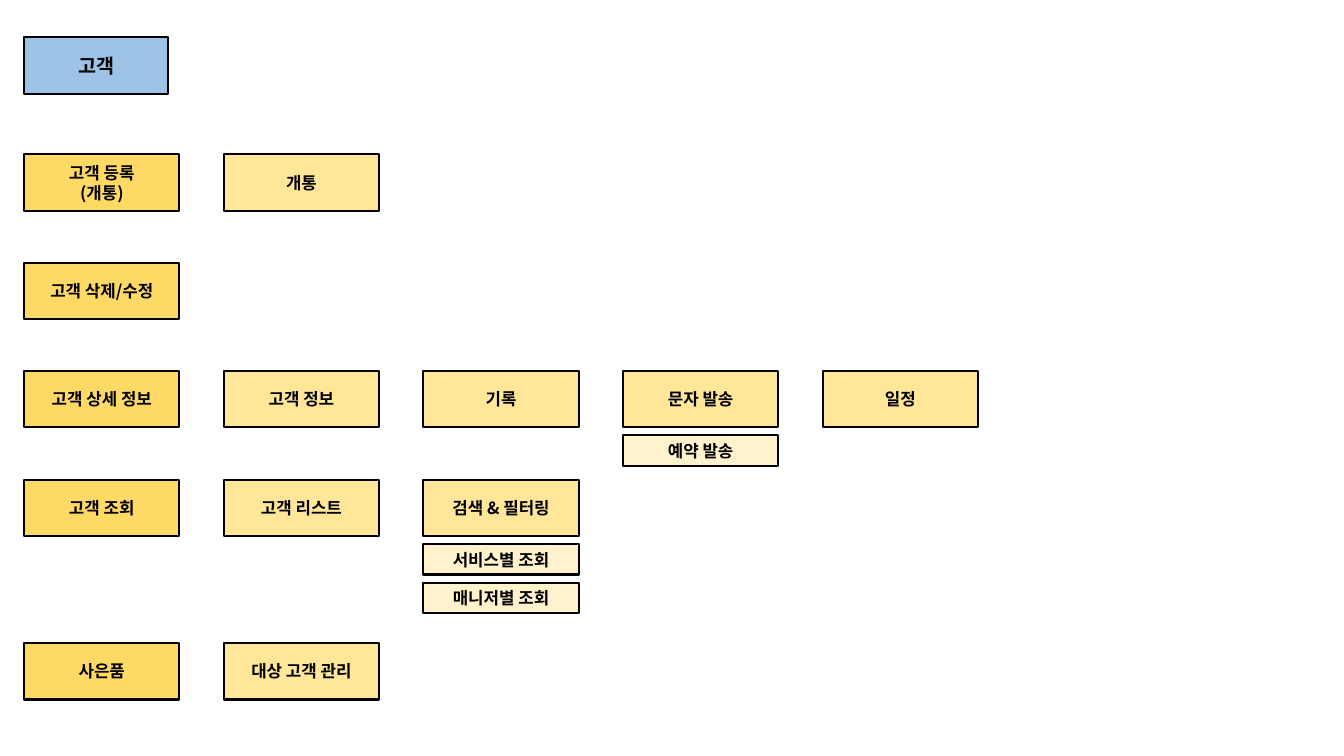
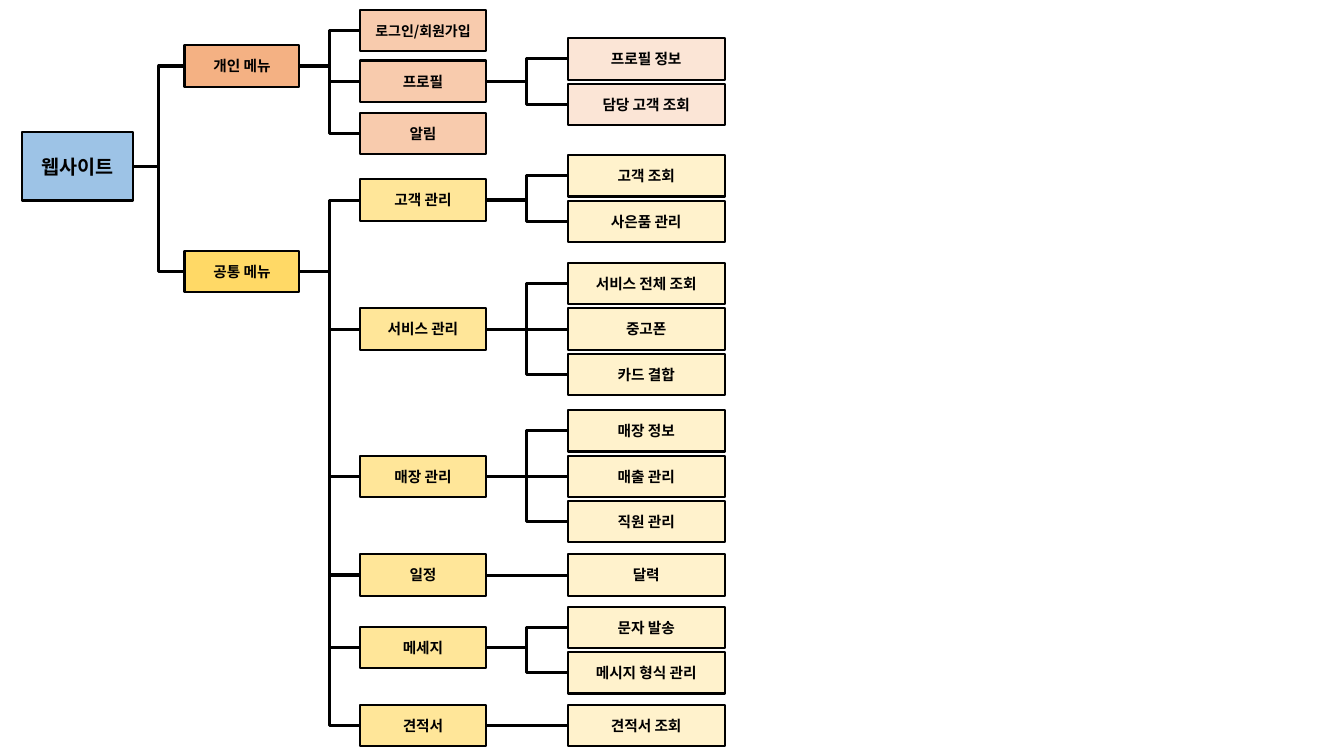
"""Build the customer feature map and the website menu tree."""
from dataclasses import dataclass

from lxml import etree
from pptx import Presentation, util as u
from pptx.dml import color
from pptx.enum import shapes, text
from pptx.oxml import ns

FONT = {"name": "Noto Sans CJK KR", "bold": True}
FRAME = {"word_wrap": True, "vertical_anchor": text.MSO_ANCHOR.MIDDLE}
BLACK, BLUE = "000000", "9DC3E6"
GOLD = ("FFD966", "FFE699", "FFF2CC")
ORANGE = ("F4B183", "F8CBAD", "FBE5D6")
TITLE_SIZE, FEATURE_SIZE, MENU_SIZE = 14, 12, 10.5

FEATURE_LEFT, FEATURE_PITCH = 0.24, 1.98
FEATURE_WIDTH, FEATURE_HEIGHT = 1.54, 0.56
DETAIL_HEIGHT, DETAIL_GAP = 0.3, 0.08

MENU_COLUMNS = ((1.83, 1.14), (3.57, 1.25), (5.63, 1.56))
MENU_HEIGHT, LEAF_PITCH = 0.41, 0.45


@dataclass(frozen=True)
class Box:
    """Place, fill and text size of one labelled rectangle."""
    label: str
    left: float
    top: float
    width: float
    height: float
    fill: str
    size: float


@dataclass(frozen=True)
class Feature:
    """A feature with the details stacked below it."""
    label: str
    details: tuple[str, ...] = ()


@dataclass(frozen=True)
class Menu:
    """A menu entry with its submenus."""
    label: str
    top: float
    children: tuple["Menu", ...] = ()
    size: float = MENU_SIZE


def leaves(first_top: float, *labels: str) -> tuple[Menu, ...]:
    """Stack childless menu entries at an equal pitch."""
    return tuple(Menu(label, round(first_top + index * LEAF_PITCH, 2))
                 for index, label in enumerate(labels))


FEATURE_ROWS = (
    (1.53, (Feature("고객 등록\v(개통)"), Feature("개통"))),
    (2.61, (Feature("고객 삭제/수정"),)),
    (3.68, (Feature("고객 상세 정보"), Feature("고객 정보"), Feature("기록"),
            Feature("문자 발송", ("예약 발송",)), Feature("일정"))),
    (4.76, (Feature("고객 조회"), Feature("고객 리스트"),
            Feature("검색 & 필터링", ("서비스별 조회", "매니저별 조회")))),
    (6.38, (Feature("사은품"), Feature("대상 고객 관리"))),
)

PERSONAL_MENU = Menu("개인 메뉴", 0.45, (
    Menu("로그인/회원가입", 0.1, size=10),
    Menu("프로필", 0.6, leaves(0.38, "프로필 정보", "담당 고객 조회")),
    Menu("알림", 1.12),
))
COMMON_MENU = Menu("공통 메뉴", 2.49, (
    Menu("고객 관리", 1.78, leaves(1.54, "고객 조회", "사은품 관리")),
    Menu("서비스 관리", 3.06, leaves(2.61, "서비스 전체 조회", "중고폰", "카드 결합")),
    Menu("매장 관리", 4.52, leaves(4.07, "매장 정보", "매출 관리", "직원 관리")),
    Menu("일정", 5.5, leaves(5.5, "달력")),
    Menu("메세지", 6.22, leaves(6.02, "문자 발송", "메시지 형식 관리")),
    Menu("견적서", 6.99, leaves(6.99, "견적서 조회")),
))


def rgb(value: str) -> color.RGBColor:
    """Turn a hex string into a colour."""
    return color.RGBColor.from_string(value)


def apply(target: object, values: dict) -> None:
    """Set every format value on the target."""
    for name, value in values.items():
        setattr(target, name, value)


def draw_line(line, width: float) -> None:
    """Give a line its black colour and width."""
    line.color.rgb = rgb(BLACK)
    line.width = u.Pt(width)


def draw_box(slide, box: Box):
    """Draw an outlined rectangle with a centred bold label."""
    edges = (u.Inches(edge) for edge in (box.left, box.top, box.width, box.height))
    shape = slide.shapes.add_shape(shapes.MSO_SHAPE.RECTANGLE, *edges)
    shape.shadow.inherit = False
    shape.fill.solid()
    shape.fill.fore_color.rgb = rgb(box.fill)
    draw_line(shape.line, 1.5)
    apply(shape.text_frame, FRAME)
    paragraph = shape.text_frame.paragraphs[0]
    paragraph.text = box.label
    paragraph.alignment = text.PP_ALIGN.CENTER
    for run in paragraph.runs:
        apply(run.font, FONT | {"size": u.Pt(box.size)})
        run.font.color.rgb = rgb(BLACK)
        etree.SubElement(run._r.rPr, ns.qn("a:ea"), typeface=FONT["name"])
    return shape


def connect(slide, parent, child) -> None:
    """Join the right side of the parent to the left side of the child."""
    connector = slide.shapes.add_connector(shapes.MSO_CONNECTOR.ELBOW, 0, 0, 0, 0)
    connector.begin_connect(parent, 3)
    connector.end_connect(child, 1)
    draw_line(connector.line, 2.25)
    etree.SubElement(connector._element.spPr, ns.qn("a:effectLst"))


def draw_feature(slide, feature: Feature, column: int, top: float) -> None:
    """Draw a feature and its details in one grid column."""
    left = FEATURE_LEFT + column * FEATURE_PITCH
    fill = GOLD[min(column, 1)]
    draw_box(slide, Box(feature.label, left, top, FEATURE_WIDTH, FEATURE_HEIGHT,
                        fill, FEATURE_SIZE))
    for index, label in enumerate(feature.details):
        detail_top = (top + FEATURE_HEIGHT + DETAIL_GAP
                      + index * (DETAIL_HEIGHT + DETAIL_GAP))
        draw_box(slide, Box(label, left, detail_top, FEATURE_WIDTH, DETAIL_HEIGHT,
                            GOLD[2], FEATURE_SIZE))


def draw_menu(slide, parent, menu: Menu, fills: tuple[str, ...], level: int = 0) -> None:
    """Draw a menu entry, its connector and its submenus."""
    left, width = MENU_COLUMNS[level]
    shape = draw_box(slide, Box(menu.label, left, menu.top, width, MENU_HEIGHT,
                                fills[level], menu.size))
    connect(slide, parent, shape)
    for child in menu.children:
        draw_menu(slide, shape, child, fills, level + 1)


def build_feature_slide(slide) -> None:
    """Lay out the customer features by row."""
    draw_box(slide, Box("고객", FEATURE_LEFT, 0.37, 1.43, FEATURE_HEIGHT, BLUE, TITLE_SIZE))
    for top, features in FEATURE_ROWS:
        for column, feature in enumerate(features):
            draw_feature(slide, feature, column, top)


def build_menu_slide(slide) -> None:
    """Lay out the website menus as a tree."""
    website = draw_box(slide, Box("웹사이트", 0.22, 1.31, 1.1, 0.68, BLUE, TITLE_SIZE))
    for menu, fills in ((PERSONAL_MENU, ORANGE), (COMMON_MENU, GOLD)):
        draw_menu(slide, website, menu, fills)


def main() -> None:
    """Build and save the presentation."""
    presentation = Presentation()
    apply(presentation, {"slide_width": u.Inches(13.33), "slide_height": u.Inches(7.5)})
    for build in (build_feature_slide, build_menu_slide):
        build(presentation.slides.add_slide(presentation.slide_layouts[6]))
    presentation.save("out.pptx")


if __name__ == "__main__":
    main()
